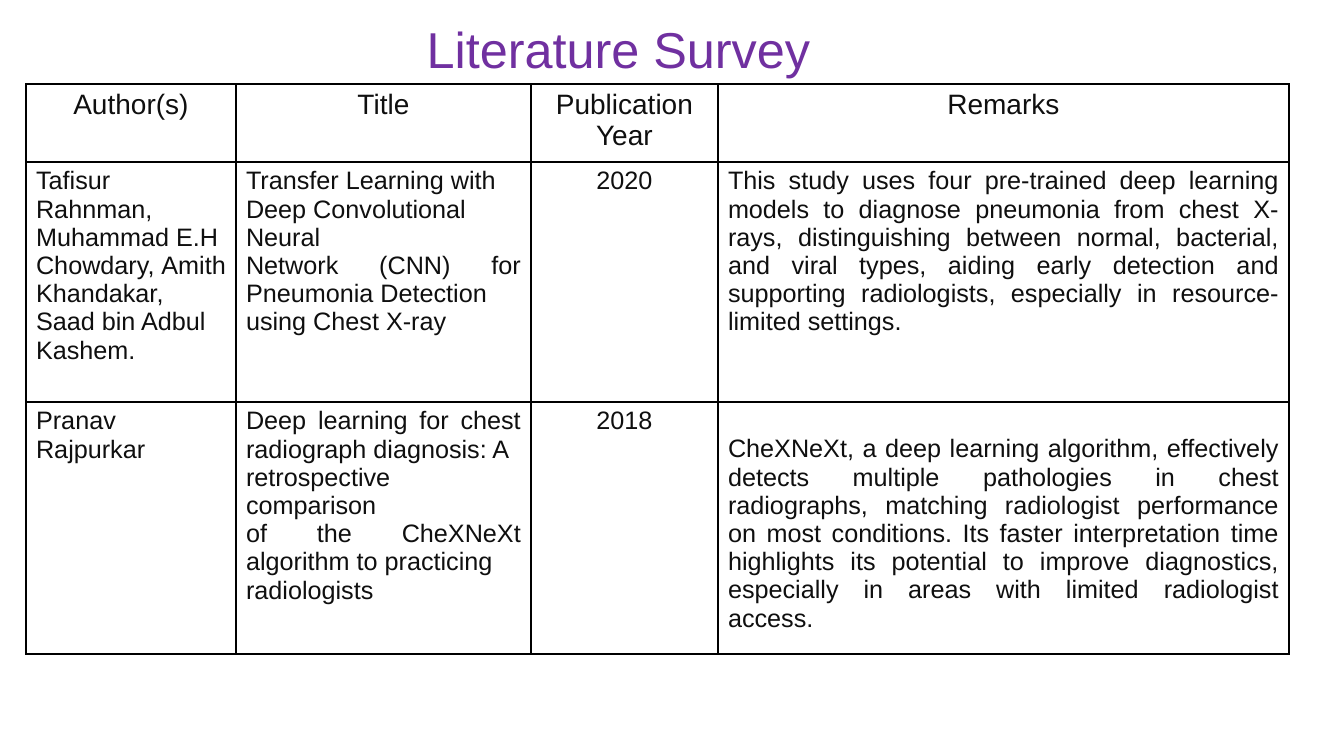
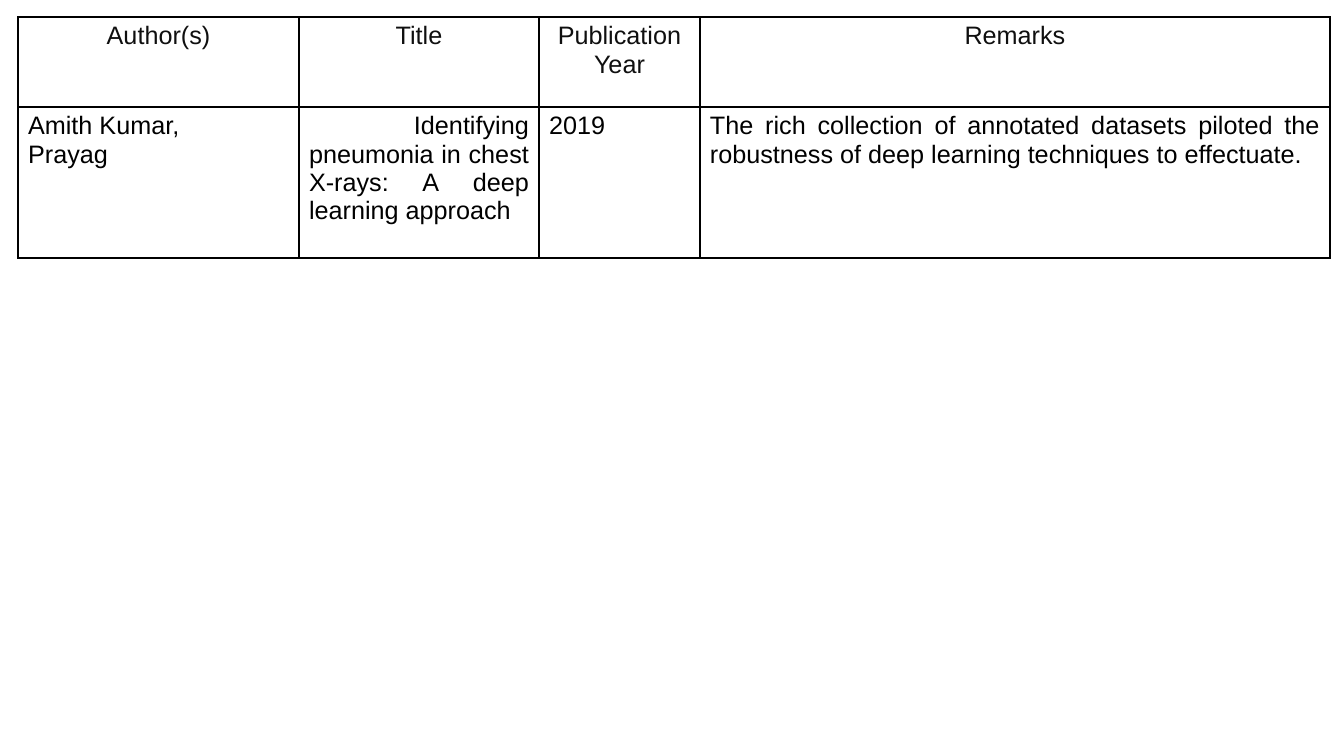
from pptx import Presentation
from pptx.dml.color import RGBColor
from pptx.enum.text import MSO_AUTO_SIZE, PP_ALIGN
from pptx.oxml.ns import qn
from pptx.util import Emu, Pt
from lxml.etree import SubElement

PX = 914400 / 100.8
FONT = "Arial"
BODY_SIZE = 18
BORDER_WIDTH = 1
COLORS = {"title": "7030A0", "ink": "0F0F0F", "black": "000000"}
LEFT, CENTER, JUSTIFY = PP_ALIGN.LEFT, PP_ALIGN.CENTER, PP_ALIGN.JUSTIFY

TITLE = {"text": "Literature Survey", "at": (174, 13, 889, 71), "size": 36}
HEADINGS = ["Author(s)", "Title", "Publication Year", "Remarks"]

SURVEYS = [
    {
        "title": TITLE,
        "at": (26, 84),
        "columns": [210, 295, 187, 571],
        "rows": [78, 240, 252],
        "heading_size": 20,
        "body_color": "ink",
        "aligns": [JUSTIFY, JUSTIFY, CENTER, JUSTIFY],
        "top_gaps": {(2, 3): 33},
        "papers": [
            [
                ["Tafisur Rahnman, Muhammad E.H",
                 "Chowdary, Amith Khandakar, Saad bin Adbul",
                 "Kashem."],
                ["Transfer Learning with",
                 "Deep Convolutional",
                 "Neural",
                 "Network (CNN) for Pneumonia Detection",
                 "using Chest X-ray"],
                ["2020"],
                ["This study uses four pre-trained deep learning models to diagnose "
                 "pneumonia from chest X-rays, distinguishing between normal, bacterial, "
                 "and viral types, aiding early detection and supporting radiologists, "
                 "especially in resource-limited settings."],
            ],
            [
                ["Pranav Rajpurkar"],
                ["Deep learning for chest radiograph diagnosis: A",
                 "retrospective comparison",
                 "of the CheXNeXt algorithm to practicing",
                 "radiologists"],
                ["2018"],
                ["CheXNeXt, a deep learning algorithm, effectively detects multiple "
                 "pathologies in chest radiographs, matching radiologist performance on "
                 "most conditions. Its faster interpretation time highlights its "
                 "potential to improve diagnostics, especially in areas with limited "
                 "radiologist access."],
            ],
        ],
    },
    {
        "title": None,
        "at": (18, 17),
        "columns": [281, 240, 161, 630],
        "rows": [90, 151],
        "heading_size": 18,
        "body_color": "black",
        "aligns": [LEFT, JUSTIFY, LEFT, JUSTIFY],
        "top_gaps": {},
        "papers": [
            [
                ["Amith Kumar,", "Prayag"],
                [" Identifying pneumonia in chest X-rays: A deep learning approach"],
                ["2019"],
                ["The rich collection of annotated datasets piloted the robustness of "
                 "deep learning techniques to effectuate."],
            ],
        ],
    },
]


def px(length):
    return Emu(round(length * PX))


def write(frame, lines, size, color, align):
    for index, line in enumerate(lines):
        para = frame.paragraphs[0] if index == 0 else frame.add_paragraph()
        para.alignment = align
        span = para.add_run()
        span.text = line
        span.font.name = FONT
        span.font.size = Pt(size)
        span.font.color.rgb = RGBColor.from_string(COLORS[color])


def outline(cell):
    properties = cell._tc.get_or_add_tcPr()
    for position, side in enumerate(("a:lnL", "a:lnR", "a:lnT", "a:lnB")):
        line = SubElement(properties, qn(side), w=str(Pt(BORDER_WIDTH)))
        fill = SubElement(line, qn("a:solidFill"))
        SubElement(fill, qn("a:srgbClr"), val=COLORS["black"])
        properties.remove(line)
        properties.insert(position, line)


def add_title(page, title):
    box = page.shapes.add_textbox(*map(px, title["at"]))
    frame = box.text_frame
    frame.word_wrap = True
    frame.auto_size = MSO_AUTO_SIZE.SHAPE_TO_FIT_TEXT
    write(frame, [title["text"]], title["size"], "title", CENTER)


def add_survey(page, survey):
    columns, rows = survey["columns"], survey["rows"]
    left, top = survey["at"]
    table = page.shapes.add_table(
        len(rows), len(columns), px(left), px(top), px(sum(columns)), px(sum(rows))
    ).table
    table.first_row = False
    table.horz_banding = False
    for column, width in zip(table.columns, columns):
        column.width = px(width)
    for row, height in zip(table.rows, rows):
        row.height = px(height)

    content = [[[heading] for heading in HEADINGS]] + survey["papers"]
    for r, cells in enumerate(content):
        for c, lines in enumerate(cells):
            cell = table.cell(r, c)
            cell.fill.background()
            outline(cell)
            if (r, c) in survey["top_gaps"]:
                cell.margin_top = px(survey["top_gaps"][r, c])
            if r == 0:
                write(cell.text_frame, lines, survey["heading_size"], "ink", CENTER)
            else:
                write(cell.text_frame, lines, BODY_SIZE, survey["body_color"],
                      survey["aligns"][c])


def main():
    deck = Presentation()
    deck.slide_width, deck.slide_height = px(1344), px(756)
    for survey in SURVEYS:
        page = deck.slides.add_slide(deck.slide_layouts[6])
        if survey["title"]:
            add_title(page, survey["title"])
        add_survey(page, survey)
    deck.save("out.pptx")


if __name__ == "__main__":
    main()
